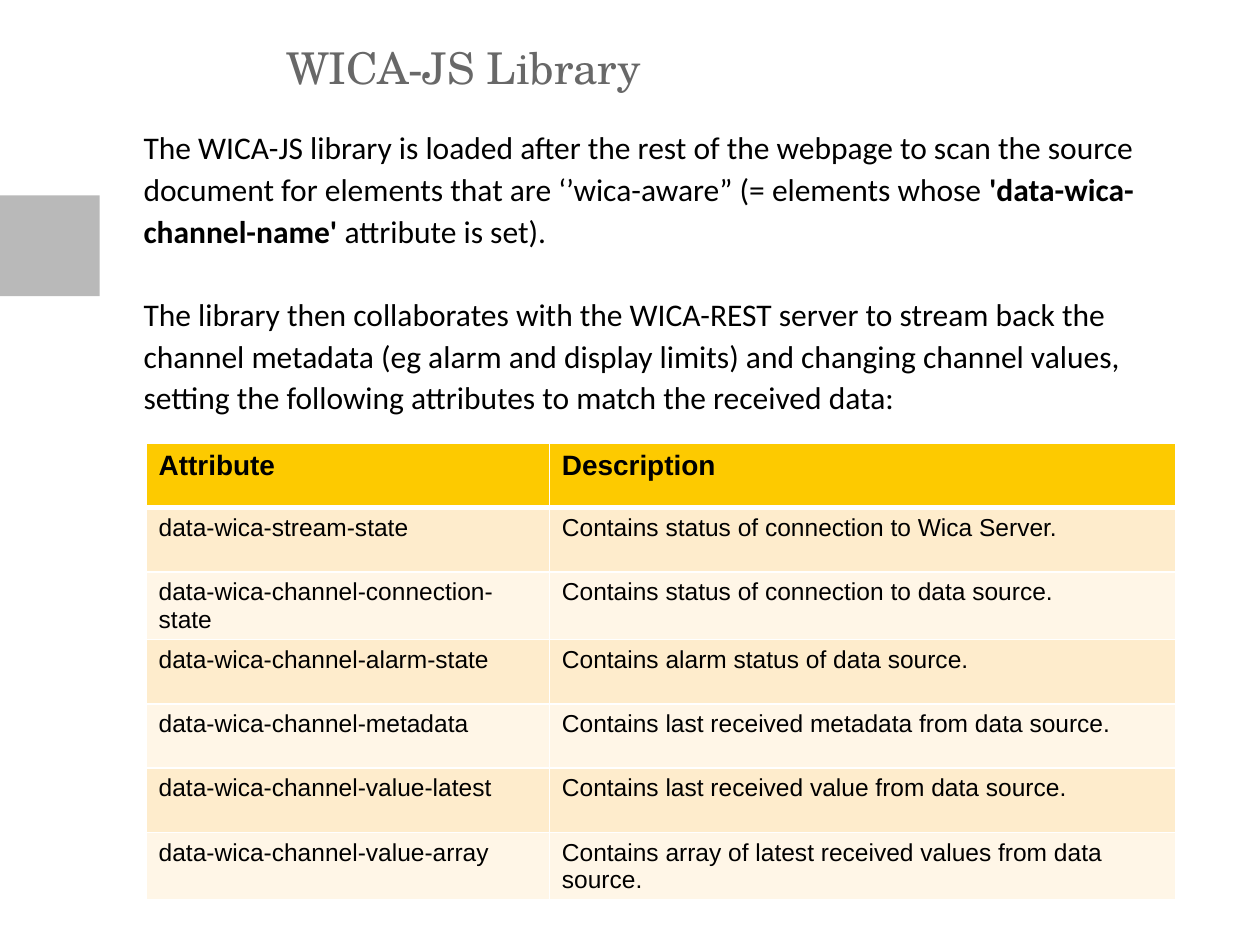
from dataclasses import dataclass

from lxml.etree import SubElement
from pptx import Presentation
from pptx.dml.color import RGBColor
from pptx.enum.shapes import MSO_SHAPE
from pptx.enum.text import MSO_ANCHOR, MSO_AUTO_SIZE, PP_ALIGN
from pptx.oxml.ns import qn
from pptx.util import Emu, Pt

PX = 9144
BLACK = RGBColor(0x00, 0x00, 0x00)
WHITE = RGBColor(0xFF, 0xFF, 0xFF)
TITLE_GRAY = RGBColor(0x68, 0x68, 0x68)
MARKER_GRAY = RGBColor(0xB9, 0xB9, 0xB9)
GOLD = RGBColor(0xFD, 0xCA, 0x00)
BANDS = (RGBColor(0xFE, 0xEC, 0xCC), RGBColor(0xFF, 0xF6, 0xE7))


@dataclass
class Attribute:
    name: str
    description: str


ATTRIBUTES = [
    Attribute("data-wica-stream-state", "Contains status of connection to Wica Server."),
    Attribute("data-wica-channel-connection-state", "Contains status of connection to data source."),
    Attribute("data-wica-channel-alarm-state", "Contains alarm status of data source."),
    Attribute("data-wica-channel-metadata", "Contains last received metadata from data source."),
    Attribute("data-wica-channel-value-latest", "Contains last received value from data source."),
    Attribute("data-wica-channel-value-array", "Contains array of latest received values from data source."),
]

PARAGRAPHS = [
    [
        ("The WICA-JS library is loaded after the rest of the webpage to scan the source "
         "document for elements that are ‘’wica-aware” (= elements whose ", False),
        ("'data-wica-channel-name'", True),
        (" attribute is set).", False),
    ],
    [
        ("The library then collaborates with the WICA-REST server to stream back the "
         "channel metadata (eg alarm and display limits) and changing channel values, "
         "setting the following attributes to match the received data:", False),
    ],
]


def px(*values: int) -> list[Emu]:
    return [Emu(v * PX) for v in values]


def style(font, name: str, size: int, color: RGBColor, bold: bool = False) -> None:
    font.name = name
    font.size = Pt(size)
    font.color.rgb = color
    font.bold = bold


def reset_frame(tf) -> None:
    tf.margin_left = tf.margin_top = tf.margin_right = tf.margin_bottom = 0
    tf.word_wrap = True
    tf.auto_size = MSO_AUTO_SIZE.NONE
    tf.vertical_anchor = MSO_ANCHOR.TOP


def add_title(s, text: str) -> None:
    sp = s.shapes.title
    sp.left, sp.top, sp.width, sp.height = px(227, 32, 611, 60)
    tf = sp.text_frame
    reset_frame(tf)
    tf.text = text
    p = tf.paragraphs[0]
    p.alignment = PP_ALIGN.LEFT
    style(p.runs[0].font, "TeX Gyre Schola", 25, TITLE_GRAY)


def add_marker(s) -> None:
    sp = s.shapes.add_shape(MSO_SHAPE.RECTANGLE, *px(0, 155, 79, 80))
    sp.shadow.inherit = False
    sp.fill.solid()
    sp.fill.fore_color.rgb = MARKER_GRAY
    sp.line.fill.background()


def add_body(s) -> None:
    tf = s.shapes.add_textbox(*px(114, 99, 847, 630)).text_frame
    reset_frame(tf)
    for i, runs in enumerate(PARAGRAPHS):
        p = tf.add_paragraph() if i else tf.paragraphs[0]
        p.line_spacing = 1.1
        if i:
            p.space_before = Pt(24)
        for text, bold in runs:
            r = p.add_run()
            r.text = text
            style(r.font, "Calibri", 18, BLACK, bold)


def set_borders(cell, top: int, bottom: int) -> None:
    tc_pr = cell._tc.get_or_add_tcPr()
    for side, width in (("L", 1), ("R", 1), ("T", top), ("B", bottom)):
        ln = SubElement(tc_pr, qn(f"a:ln{side}"), w=str(Pt(width)))
        fill = SubElement(ln, qn("a:solidFill"))
        SubElement(fill, qn("a:srgbClr"), val=str(WHITE))


def add_attribute_table(s) -> None:
    rows = [Attribute("Attribute", "Description"), *ATTRIBUTES]
    table = s.shapes.add_table(len(rows), 2, *px(116, 352, 817, 51 * len(rows))).table
    for column, width in zip(table.columns, px(320, 497)):
        column.width = width
    for i, row in enumerate(rows):
        header = i == 0
        for j, text in enumerate((row.name, row.description)):
            cell = table.cell(i, j)
            set_borders(cell, top=3 if i == 1 else 1, bottom=3 if header else 1)
            cell.fill.solid()
            cell.fill.fore_color.rgb = GOLD if header else BANDS[(i - 1) % 2]
            cell.text_frame.text = text
            r = cell.text_frame.paragraphs[0].runs[0]
            style(r.font, "Arial", 16 if header else 14, BLACK, header)


def main() -> None:
    prs = Presentation()
    prs.slide_width, prs.slide_height = px(1000, 750)
    s = prs.slides.add_slide(prs.slide_layouts[5])
    add_marker(s)
    add_body(s)
    add_title(s, "WICA-JS Library")
    add_attribute_table(s)
    prs.save("out.pptx")


if __name__ == "__main__":
    main()
